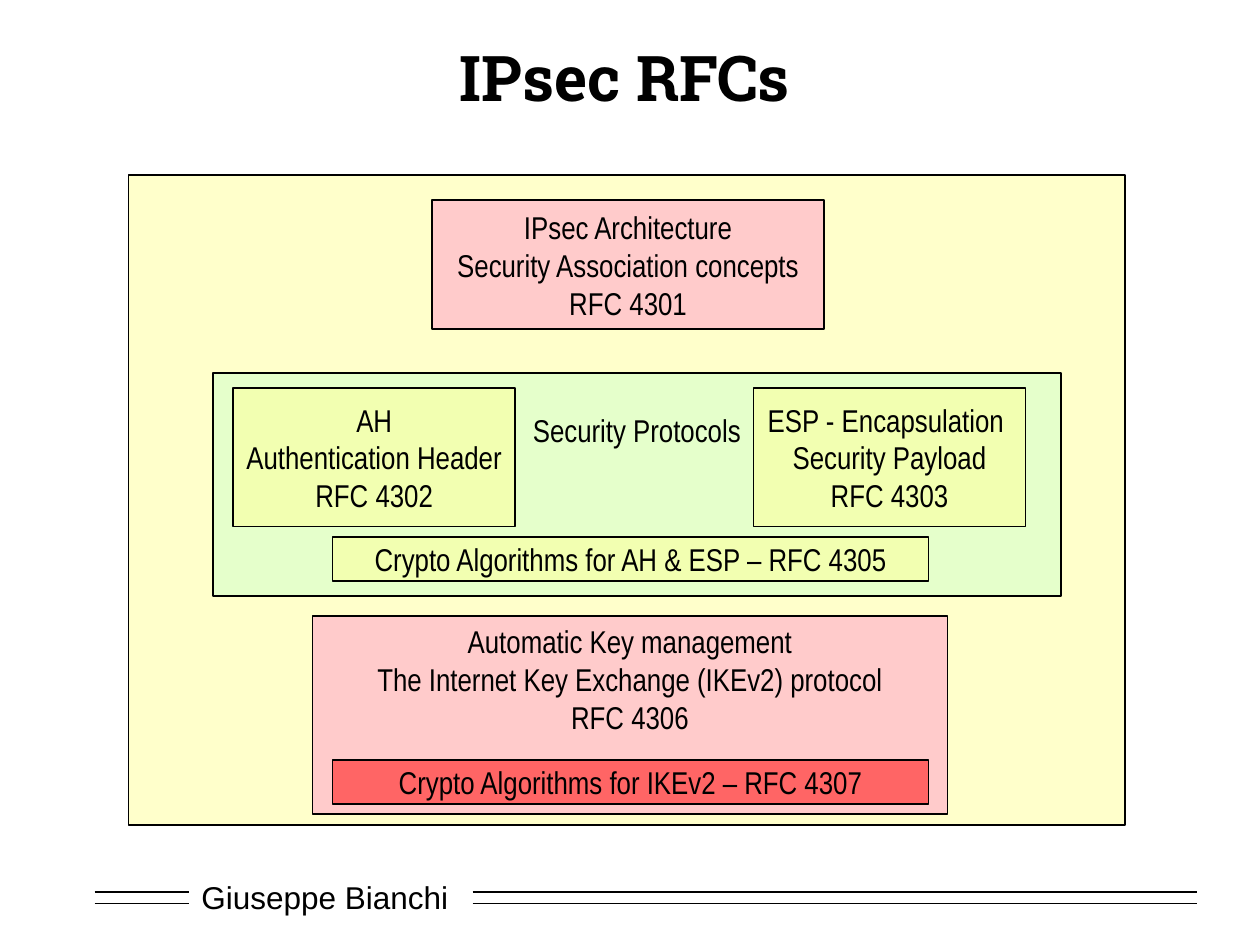
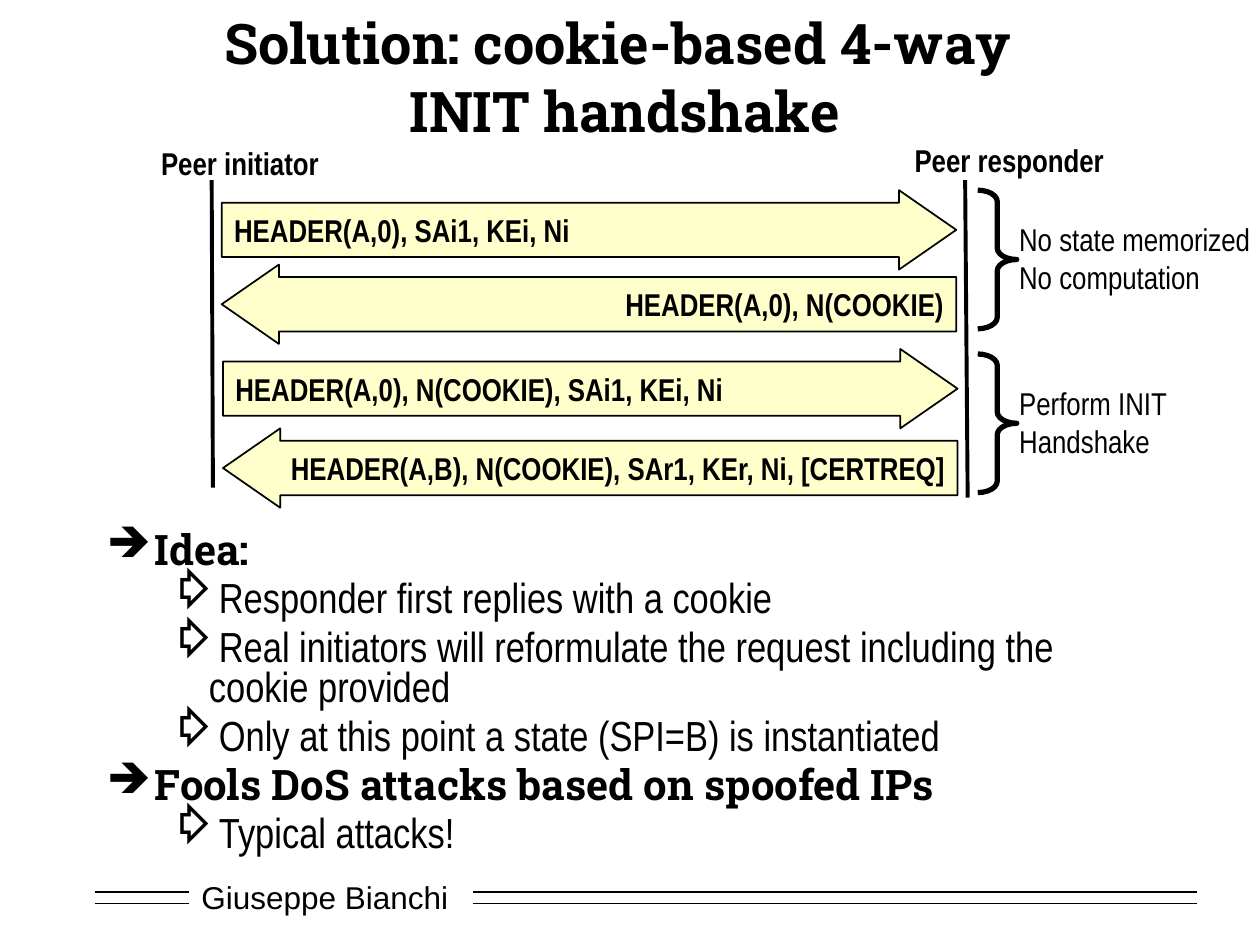
from dataclasses import dataclass

from lxml import etree
from pptx import Presentation
from pptx.dml.color import RGBColor
from pptx.enum.shapes import MSO_CONNECTOR as Connector, MSO_SHAPE as Preset
from pptx.enum.text import MSO_ANCHOR as Anchor, MSO_AUTO_SIZE as AutoSize, PP_ALIGN as Align
from pptx.oxml.ns import qn
from pptx.util import Inches, Pt


@dataclass(frozen=True)
class Theme:
    black: str = "000000"
    white: str = "FFFFFF"
    yellow: str = "FFFF99"
    green: str = "CCFFCC"
    pink: str = "FF99CC"
    red: str = "FF0000"
    heading: str = "Roboto Slab"
    narrow: str = "Arial Narrow"
    plain: str = "Arial"
    label: int = 18
    bullet: int = 24
    thin: float = 1
    lifeline: float = 2.25
    brace: float = 3


THEME = Theme()

# Content shared by both slides
AUTHOR = "Giuseppe Bianchi"
FOOTER_RULES_X = [(0.75, 1.5), (3.75, 9.5)]
FOOTER_RULES_Y = [7.08, 7.17]
TITLE_PLACE = (0.75, 0.25, 8.42, 0.71)

# RFC map: fill, place, lines, inset above top-anchored text (None centres it)
RFC_BOXES = [
    (THEME.yellow, (1.02, 1.39, 7.91, 5.16), [], None),
    (THEME.green, (1.69, 2.96, 6.73, 1.77), ["Security Protocols"], 0.3),
    (THEME.pink, (3.43, 1.59, 3.11, 1.02),
     ["IPsec Architecture", "Security Association concepts", "RFC 4301"], None),
    (THEME.yellow, (1.85, 3.08, 2.24, 1.1),
     ["AH", "Authentication Header", "RFC 4302"], None),
    (THEME.yellow, (5.98, 3.08, 2.16, 1.1),
     ["ESP - Encapsulation ", "Security Payload", "RFC 4303"], None),
    (THEME.pink, (2.48, 4.89, 5.04, 1.57),
     ["Automatic Key management", "The Internet Key Exchange (IKEv2) protocol",
      "RFC 4306"], 0.05),
    (THEME.yellow, (2.64, 4.26, 4.73, 0.35),
     ["Crypto Algorithms for AH & ESP – RFC 4305"], None),
    (THEME.red, (2.64, 6.03, 4.73, 0.35),
     ["Crypto Algorithms for IKEv2 – RFC 4307"], None),
]

# Handshake: peers with label place and lifeline ends
PEERS = [
    ("Peer initiator", (1.18, 1.09, 1.46, 0.4), (1.68, 1.43, 1.69, 3.87)),
    ("Peer responder", (7.16, 1.07, 1.71, 0.4), (7.66, 1.43, 7.68, 3.95)),
]
# Messages alternate: initiator to responder, then back
MESSAGES = [
    (1.76, 1.51, "HEADER(A,0), SAi1, KEi, Ni"),
    (1.76, 2.1, "HEADER(A,0), N(COOKIE)"),
    (1.77, 2.77, "HEADER(A,0), N(COOKIE), SAi1, KEi, Ni"),
    (1.77, 3.4, "HEADER(A,B), N(COOKIE), SAr1, KEr, Ni, [CERTREQ]"),
]
DIRECTIONS = [(Preset.RIGHT_ARROW, Align.LEFT), (Preset.LEFT_ARROW, Align.RIGHT)]
ARROW_SIZE = (5.83, 0.63)
ARROW_ADJUST = (0.685, 0.721)
BRACE_ADJUST = (0.292, 0.5)
PHASES = [
    (1.51, 2.04, ["No state memorized", "No computation"]),
    (2.81, 1.38, ["Perform INIT", "Handshake"]),
]

IDEAS = [
    (0, "Idea:"),
    (1, "Responder first replies with a cookie"),
    (1, "Real initiators will reformulate the request including the cookie provided"),
    (1, "Only at this point a state (SPI=B) is instantiated"),
    (0, "Fools DoS attacks based on spoofed IPs"),
    (1, "Typical attacks!"),
]
# Per level: bullet, left margin, hanging indent, font, bold
BULLETS = [
    ("➔", 0.38, -0.38, THEME.heading, True),
    ("⇨", 0.81, -0.31, THEME.narrow, False),
]


# Helpers
def inches(values):
    return [Inches(value) for value in values]


def add_span(para, text, font=THEME.narrow, size=THEME.label, bold=False):
    span = para.add_run()
    span.text = text
    span.font.name = font
    span.font.size = Pt(size)
    span.font.bold = bold
    span.font.color.rgb = RGBColor.from_string(THEME.black)


def add_lines(frame, lines, align=Align.LEFT, **style):
    for index, line in enumerate(lines):
        para = frame.add_paragraph() if index else frame.paragraphs[0]
        para.alignment = align
        add_span(para, line, **style)


def set_line(item, width):
    item.line.color.rgb = RGBColor.from_string(THEME.black)
    item.line.width = Pt(width)


def add_rule(page, ends, width=THEME.thin):
    rule = page.shapes.add_connector(Connector.STRAIGHT, *inches(ends))
    set_line(rule, width)
    etree.SubElement(rule.element.spPr, qn("a:effectLst"))


def add_preset(page, preset, place, fill=None, adjust=(), width=THEME.thin):
    """Add an outlined shape; a fill is half transparent."""
    shape = page.shapes.add_shape(preset, *inches(place))
    shape.shadow.inherit = False
    for index, value in enumerate(adjust):
        shape.adjustments[index] = value
    if fill:
        shape.fill.solid()
        shape.fill.fore_color.rgb = RGBColor.from_string(fill)
        color = shape.element.spPr.find(".//" + qn("a:srgbClr"))
        etree.SubElement(color, qn("a:alpha"), val="50000")
    else:
        shape.fill.background()
    set_line(shape, width)
    shape.text_frame.word_wrap = False
    shape.text_frame.vertical_anchor = Anchor.MIDDLE
    return shape


def add_label(page, place, lines, **style):
    box = page.shapes.add_textbox(*inches(place))
    box.text_frame.word_wrap = False
    box.text_frame.auto_size = AutoSize.SHAPE_TO_FIT_TEXT
    add_lines(box.text_frame, lines, **style)
    return box


def add_page(deck, title_lines, title_size):
    """Start a title-only page with its title and the shared footer."""
    page = deck.slides.add_slide(deck.slide_layouts[5])
    author = add_label(page, (1.5, 6.92, 2.17, 0.4), [AUTHOR], font=THEME.plain)
    author.text_frame.word_wrap = True
    author.text_frame.vertical_anchor = Anchor.MIDDLE
    author.fill.solid()
    author.fill.fore_color.rgb = RGBColor.from_string(THEME.white)
    for y in FOOTER_RULES_Y:
        for start, end in FOOTER_RULES_X:
            add_rule(page, (start, y, end, y))

    title = page.shapes.title
    title.left, title.top, title.width, title.height = inches(TITLE_PLACE)
    frame = title.text_frame
    frame.auto_size = AutoSize.NONE
    frame.vertical_anchor = Anchor.MIDDLE
    para = frame.paragraphs[0]
    para.alignment = Align.CENTER
    for index, line in enumerate(title_lines):
        if index:
            para.add_line_break()
        add_span(para, line, THEME.heading, title_size, True)
    return page


def add_ideas(page):
    box = page.shapes.add_textbox(*inches((0.75, 4.18, 8.42, 2.84)))
    frame = box.text_frame
    frame.word_wrap = True
    for index, (level, text) in enumerate(IDEAS):
        mark, margin, indent, font, bold = BULLETS[level]
        para = frame.add_paragraph() if index else frame.paragraphs[0]
        para.level = level
        para.line_spacing = 0.8
        para.space_before = Pt(0.2 * THEME.bullet)
        add_span(para, text, font, THEME.bullet, bold)
        props = para._p.get_or_add_pPr()
        props.set("marL", str(Inches(margin)))
        props.set("indent", str(Inches(indent)))
        etree.SubElement(props, qn("a:buChar"), char=mark)


# Slides
def build_rfc_map(deck):
    page = add_page(deck, ["IPsec RFCs"], 36)
    for fill, place, lines, inset in RFC_BOXES:
        frame = add_preset(page, Preset.RECTANGLE, place, fill).text_frame
        if inset is not None:
            frame.vertical_anchor = Anchor.TOP
            frame.margin_top = Inches(inset)
        add_lines(frame, lines, Align.CENTER)


def build_handshake(deck):
    page = add_page(deck, ["Solution: cookie-based 4-way ", "INIT handshake"], 32)
    add_ideas(page)
    for name, place, lifeline in PEERS:
        add_rule(page, lifeline, THEME.lifeline)
        add_label(page, place, [name], bold=True)
    for index, (left, top, text) in enumerate(MESSAGES):
        preset, align = DIRECTIONS[index % 2]
        arrow = add_preset(page, preset, (left, top, *ARROW_SIZE), THEME.yellow, ARROW_ADJUST)
        add_lines(arrow.text_frame, [text], align, bold=True)
    for top, width, lines in PHASES:
        add_preset(page, Preset.RIGHT_BRACE, (7.76, top, 0.31, 1.1),
                   adjust=BRACE_ADJUST, width=THEME.brace)
        add_label(page, (7.99, top + 0.19, width, 0.7), lines)


def main():
    deck = Presentation()
    deck.slide_width, deck.slide_height = inches((10, 7.5))
    build_rfc_map(deck)
    build_handshake(deck)
    deck.save("out.pptx")


if __name__ == "__main__":
    main()
